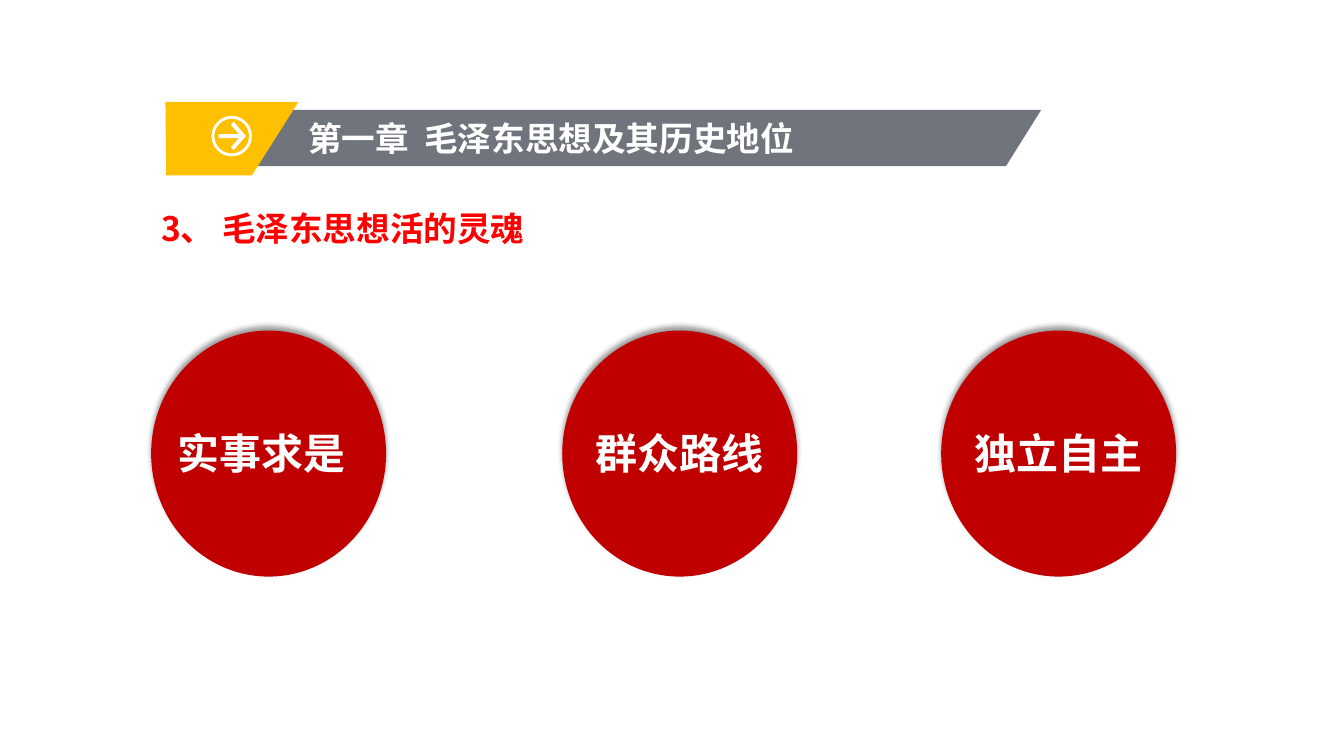
from dataclasses import dataclass

from lxml.etree import SubElement
from pptx import Presentation
from pptx.dml.color import RGBColor
from pptx.enum.shapes import MSO_SHAPE as Kind
from pptx.enum.text import MSO_AUTO_SIZE as Fit, PP_ALIGN as Align
from pptx.oxml import parse_xml
from pptx.oxml.ns import nsdecls, qn
from pptx.util import Cm, Pt

FONT = "Noto Sans CJK SC"
WHITE, RED, CRIMSON = "FFFFFF", "FF0000", "C00000"
GOLD, GREY = "FFC000", "70757D"

DISC_TOP, DISC_W, DISC_H = 8.33, 5.92, 6.2
LABEL_TOP, LABEL_H = 10.64, 1.55

SHADOW = f"""<a:effectLst {nsdecls("a")}>
  <a:outerShdw blurRad="{Pt(4)}" dist="{Pt(3)}" dir="16200000" rotWithShape="0">
    <a:srgbClr val="000000"><a:alpha val="40000"/></a:srgbClr>
  </a:outerShdw>
</a:effectLst>"""


@dataclass
class Panel:
    points: list[tuple[float, float]]
    color: str


@dataclass
class Disc:
    text: str
    left: float
    shift: float = 0  # offset of the label from the disc's centre


@dataclass
class Line:
    text: str
    left: float
    top: float
    width: float
    color: str


PANELS = [
    Panel([(4.37, 2.77), (26.24, 2.77), (25.35, 4.19), (4.37, 4.19)], GREY),
    Panel([(4.17, 2.57), (7.52, 2.57), (6.35, 4.42), (4.19, 4.42)], GOLD),
    Panel([(5.89, 3.78), (5.82, 3.71), (6.02, 3.48), (5.51, 3.48), (5.51, 3.38),
           (6.02, 3.38), (5.82, 3.15), (5.89, 3.07), (6.2, 3.43)], WHITE),
]
LINES = [
    Line("第一章  毛泽东思想及其历史地位", 7.52, 2.84, 12.9, WHITE),
    Line("3、 毛泽东思想活的灵魂", 3.81, 5.11, 9.86, RED),
]
DISCS = [
    Disc("实事求是", 3.81, -0.17),
    Disc("群众路线", 14.17),
    Disc("独立自主", 23.72),
]


def paint(shape, color: str) -> None:
    """Fill a shape plainly, without outline or shadow."""
    shape.shadow.inherit = False
    shape.fill.solid()
    shape.fill.fore_color.rgb = RGBColor.from_string(color)
    shape.line.fill.background()


def add_panel(shapes, panel: Panel) -> None:
    first, *rest = [(Cm(x), Cm(y)) for x, y in panel.points]
    pen = shapes.build_freeform(*first)
    pen.add_line_segments(rest)
    paint(pen.convert_to_shape(), panel.color)


def add_text(shapes, text: str, left: float, top: float, width: float, height: float,
             size: int, color: str, align: Align = Align.LEFT, wrap: bool = False) -> None:
    box = shapes.add_textbox(Cm(left), Cm(top), Cm(width), Cm(height))
    frame = box.text_frame
    frame.word_wrap = wrap
    frame.auto_size = Fit.SHAPE_TO_FIT_TEXT
    para = frame.paragraphs[0]
    para.text = text
    para.alignment = align
    font = para.font
    font.size, font.bold, font.name = Pt(size), True, FONT
    font.color.rgb = RGBColor.from_string(color)
    props = para._p.pPr.find(qn("a:defRPr"))
    SubElement(props, qn("a:ea")).set("typeface", FONT)


def add_disc(shapes, disc: Disc) -> None:
    group = shapes.add_group_shape().shapes
    oval = group.add_shape(Kind.OVAL, Cm(disc.left), Cm(DISC_TOP), Cm(DISC_W), Cm(DISC_H))
    paint(oval, CRIMSON)
    props = oval._element.spPr
    props.replace(props.find(qn("a:effectLst")), parse_xml(SHADOW))
    add_text(group, disc.text, disc.left + disc.shift, LABEL_TOP, DISC_W, LABEL_H,
             30, WHITE, Align.CENTER, True)


def main() -> None:
    deck = Presentation()
    deck.slide_width, deck.slide_height = Cm(33.87), Cm(19.05)
    shapes = deck.slides.add_slide(deck.slide_layouts[6]).shapes
    for panel in PANELS:
        add_panel(shapes, panel)
    ring = shapes.add_shape(Kind.DONUT, Cm(5.33), Cm(2.92), Cm(1.02), Cm(1.02))
    ring.adjustments[0] = 0.07
    paint(ring, WHITE)
    for line in LINES:
        add_text(shapes, line.text, line.left, line.top, line.width, 1.28, 24, line.color)
    for disc in DISCS:
        add_disc(shapes, disc)
    deck.save("out.pptx")


if __name__ == "__main__":
    main()
